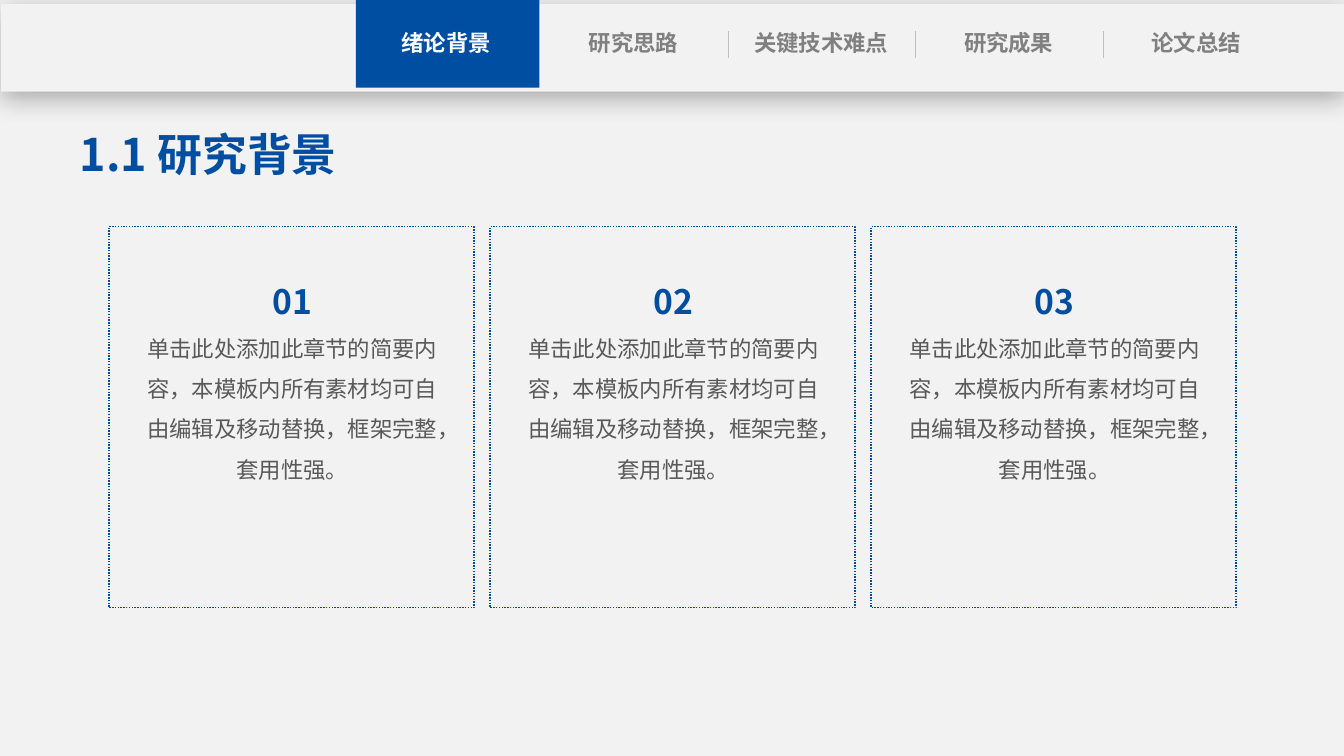
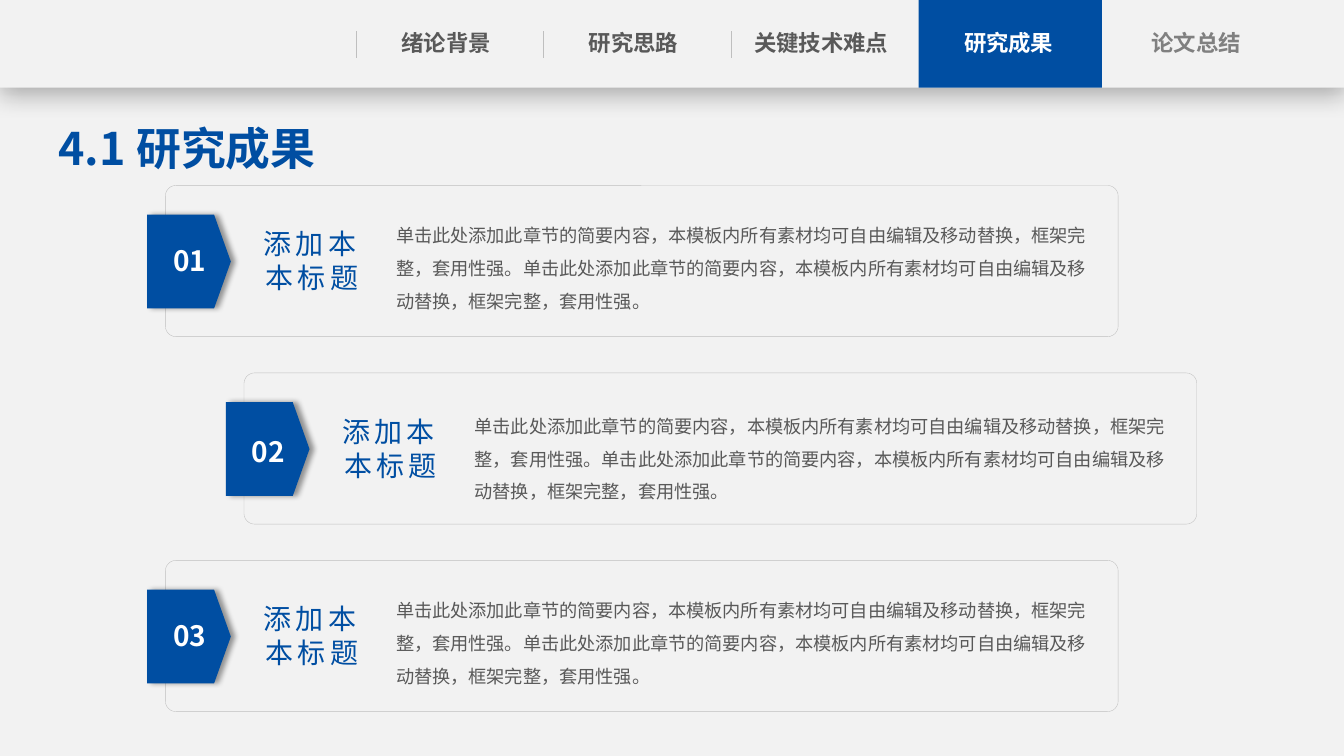
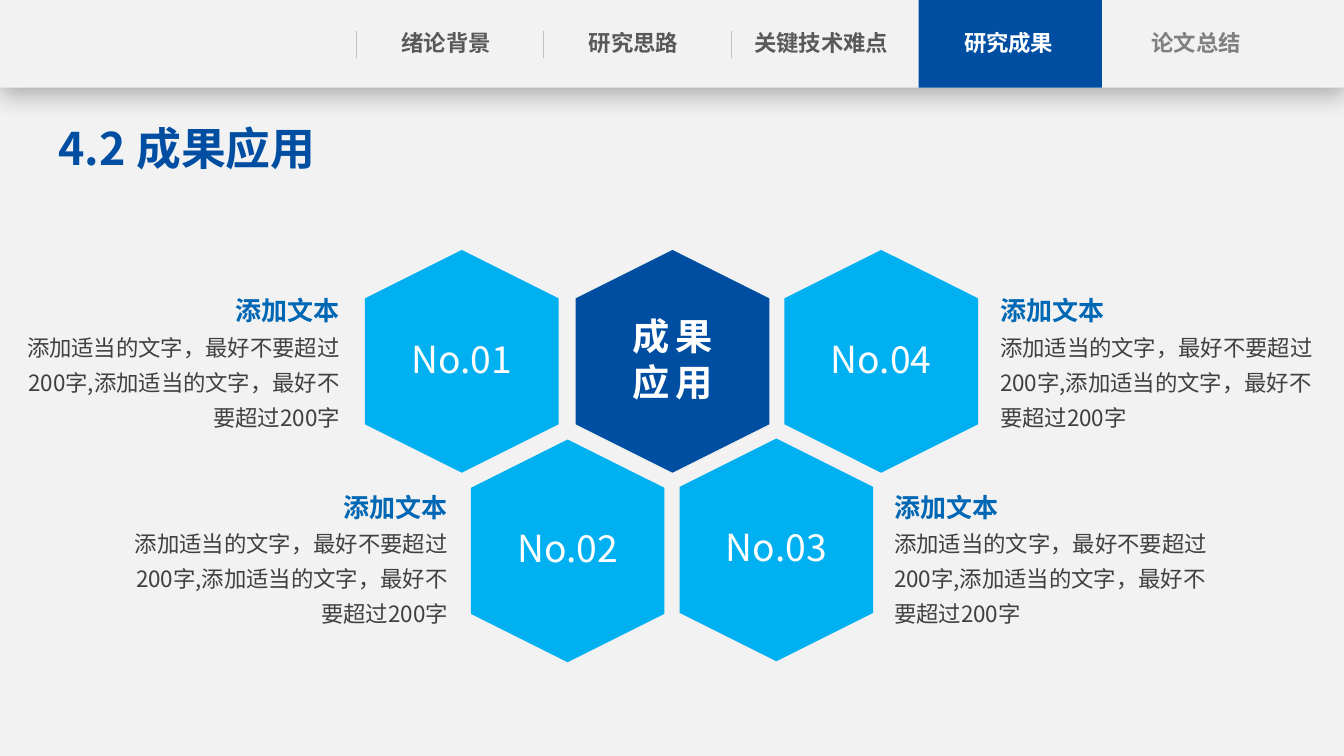
import lxml.etree
import pptx
import pptx.dml.color
import pptx.enum.dml
import pptx.enum.shapes
import pptx.enum.text
import pptx.oxml.ns
import pptx.util

Inches = pptx.util.Inches
Pt = pptx.util.Pt
qn = pptx.oxml.ns.qn
PRESET = pptx.enum.shapes.MSO_SHAPE
ALIGN = pptx.enum.text.PP_ALIGN
ANCHOR = pptx.enum.text.MSO_ANCHOR
AUTO = pptx.enum.text.MSO_AUTO_SIZE

FONT = "Noto Sans CJK SC"
COLORS = {
    "paper": "F2F2F2", "blue": "004EA2", "sky": "00B0F0", "heading": "0067B4",
    "white": "FFFFFF", "rule": "BFBFBF", "muted": "808080", "body": "595959",
    "dark": "404040", "black": "000000",
}
SECTIONS = ("绪论背景", "研究思路", "关键技术难点", "研究成果", "论文总结")
TAB_LEFT, TAB_STEP, TAB_WIDTH, BAR_HEIGHT = 3.53, 1.86, 1.82, 0.87
LABEL_INSETS = (0, 0.05, 0, 0.05)
BOX_INSETS = (0.1, 0.05, 0.1, 0.05)
BRIEF = "单击此处添加此章节的简要内容，本模板内所有素材均可自由编辑及移动替换，框架完整，套用性强。"
HINT = "添加适当的文字，最好不要超过200字,添加适当的文字，最好不要超过200字"


def color(name):
    return pptx.dml.color.RGBColor.from_string(COLORS[name])


def assign(target, values):
    for key, value in values.items():
        setattr(target, key, value)


class Deck:
    """Holds the shared style and the slide being drawn."""

    def __init__(self):
        self.prs = pptx.Presentation()
        assign(self.prs, {"slide_width": Inches(13.33), "slide_height": Inches(7.5)})
        backdrop = self.prs.slide_master.background.fill
        backdrop.solid()
        backdrop.fore_color.rgb = color("paper")

    def new_slide(self, heading, at, current, bar_at=(0, 0), first_divider=TAB_LEFT):
        self.slide = self.prs.slides.add_slide(self.prs.slide_layouts[5])
        self.shapes = self.slide.shapes
        self.navigation(current, bar_at, first_divider)
        title = self.shapes.title
        self.place(title, *at, 3.84, 0.64)
        self.compose(title.text_frame, [(heading, 32, "blue", True)], LABEL_INSETS,
                     {"auto_size": AUTO.SHAPE_TO_FIT_TEXT}, {"alignment": ALIGN.LEFT})

    def place(self, shape, left, top, width, height):
        assign(shape, {"left": Inches(left), "top": Inches(top),
                       "width": Inches(width), "height": Inches(height)})

    def group(self):
        self.shapes = self.slide.shapes.add_group_shape().shapes

    def navigation(self, current, bar_at, first_divider):
        bar = self.box(*bar_at, 13.33, BAR_HEIGHT, fill="paper")
        self.cast_shadow(bar, 29, 18, 4, 90)
        self.box(TAB_LEFT + TAB_STEP * current, 0, TAB_WIDTH, BAR_HEIGHT, fill="blue")
        for index, section in enumerate(SECTIONS):
            tone = "white" if index == current else "body" if index < current else "muted"
            self.text(TAB_LEFT + 0.16 + TAB_STEP * index, 0.24, 1.47, 0.38,
                      [(section, 16, tone, True)], LABEL_INSETS)
        for index in range(3):
            self.divider(first_divider + TAB_STEP * index, 0.31, 0.58)

    def divider(self, x, top, bottom):
        rule = self.shapes.add_connector(pptx.enum.shapes.MSO_CONNECTOR.STRAIGHT,
                                         Inches(x), Inches(top), Inches(x), Inches(bottom))
        rule.line.color.rgb = color("rule")
        rule.line.width = Pt(0.5)
        lxml.etree.SubElement(rule._element.spPr, qn("a:effectLst"))

    def paint(self, shape, fill=None, line=None, weight=1):
        shape.shadow.inherit = False
        if fill:
            shape.fill.solid()
            shape.fill.fore_color.rgb = color(fill)
        else:
            shape.fill.background()
        if line:
            shape.line.color.rgb = color(line)
            shape.line.width = Pt(weight)
        else:
            shape.line.fill.background()
        return shape

    def box(self, left, top, width, height, preset=PRESET.RECTANGLE, **style):
        shape = self.shapes.add_shape(preset, Inches(left), Inches(top),
                                      Inches(width), Inches(height))
        return self.paint(shape, **style)

    def cast_shadow(self, shape, opacity, blur, distance, angle):
        effects = shape._element.spPr.find(qn("a:effectLst"))
        values = {"blurRad": Pt(blur), "dist": Pt(distance), "dir": angle * 60000,
                  "algn": "t" if angle else "l", "rotWithShape": 0}
        outer = lxml.etree.SubElement(effects, qn("a:outerShdw"),
                                      {key: str(value) for key, value in values.items()})
        tint = lxml.etree.SubElement(outer, qn("a:srgbClr"), val=COLORS["black"])
        lxml.etree.SubElement(tint, qn("a:alpha"), val=str(opacity * 1000))

    def hexagon(self, left, top, fill, lines, insets, spacing=0):
        middle, right = left + 0.96, left + 1.92
        corners = [(right, top + 0.48), (right, top + 1.73), (middle, top + 2.21),
                   (left, top + 1.73), (left, top + 0.48)]
        outline = self.shapes.build_freeform(Inches(middle), Inches(top))
        outline.add_line_segments([(Inches(x), Inches(y)) for x, y in corners], close=True)
        cell = self.paint(outline.convert_to_shape(), fill)
        self.compose(cell.text_frame, lines, insets, {"vertical_anchor": ANCHOR.MIDDLE},
                     {"line_spacing": 0.9, "space_after": Pt(4)}, spacing)

    def text(self, left, top, width, height, lines, insets=BOX_INSETS, middle=False,
             spacing=0, **paragraph_format):
        area = self.shapes.add_textbox(Inches(left), Inches(top), Inches(width), Inches(height))
        fit = {"vertical_anchor": ANCHOR.MIDDLE} if middle else {"auto_size": AUTO.SHAPE_TO_FIT_TEXT}
        self.compose(area.text_frame, lines, insets, fit, paragraph_format, spacing)

    def compose(self, frame, lines, insets, frame_format, paragraph_format, spacing=0):
        margins = zip(("left", "top", "right", "bottom"), insets)
        assign(frame, {"word_wrap": True, "auto_size": AUTO.NONE, "vertical_anchor": ANCHOR.TOP}
               | {"margin_" + side: Inches(inset) for side, inset in margins} | frame_format)
        for index, (words, size, tone, bold) in enumerate(lines):
            paragraph = frame.add_paragraph() if index else frame.paragraphs[0]
            assign(paragraph, {"alignment": ALIGN.CENTER} | paragraph_format)
            run = paragraph.add_run()
            run.text = words
            assign(run.font, {"name": FONT, "size": Pt(size), "bold": bold})
            run.font.color.rgb = color(tone)
            properties = run._r.get_or_add_rPr()
            lxml.etree.SubElement(properties, qn("a:ea"), typeface=FONT)
            if spacing:
                properties.set("spc", str(spacing * 100))


def background_slide(deck):
    deck.new_slide("1.1 研究背景", (0.79, 1.21), 0, (0.01, 0.04), 7.22)
    for index in range(3):
        left = 1.08 + 3.78 * index
        card = deck.box(left, 2.25, 3.62, 3.78, line="blue")
        card.line.dash_style = pptx.enum.dml.MSO_LINE.ROUND_DOT
        deck.text(left + 0.3, 2.59, 3.04, 2.22,
                  [(f"0{index + 1}", 24, "blue", True), (BRIEF, 16, "body", False)],
                  (0, 0, 0, 0), line_spacing=1.5)


def results_slide(deck):
    deck.new_slide("4.1 研究成果", (0.58, 1.15), 3)
    for index, (left, nudge) in enumerate([(1.64, 0), (2.42, 0.03), (1.64, 0)]):
        top = 1.84 + 1.86 * index
        deck.group()
        panel = deck.box(left, top, 9.45, 1.5, PRESET.ROUNDED_RECTANGLE,
                         fill="paper", line="rule", weight=0.25)
        panel.adjustments[0] = 0.07
        tag = deck.box(left - 0.23, top + 0.34, 0.93, 0.83,
                       PRESET.FLOWCHART_OFFPAGE_CONNECTOR, fill="blue")
        tag.rotation = 270
        deck.cast_shadow(tag, 40, 4, 3, 0)
        deck.text(left + 0.72, top + 0.33, 1.47, 0.83,
                  [("添加本本标题", 20, "blue", False)], middle=True, spacing=3)
        deck.text(left + 2.19, top + 0.23 + nudge, 7.1, 1.08, [(BRIEF * 2, 13, "body", False)],
                  alignment=ALIGN.LEFT, line_spacing=1.5)
        deck.text(left - 0.12, top + 0.53 + nudge, 0.72, 0.44,
                  [(f"0{index + 1}", 20, "white", True)])


def application_slide(deck):
    deck.new_slide("4.2 成果应用", (0.58, 1.15), 3)
    cells = [(3.62, 2.48), (4.67, 4.36), (6.74, 4.35), (7.78, 2.48)]
    for number, (left, top) in enumerate(cells, 1):
        deck.hexagon(left, top, "sky", [(f"No.0{number}", 26.6, "white", False)],
                     (0.4, 0.46, 0.4, 0.46))
    deck.hexagon(5.71, 2.48, "blue", [(word, 26.6, "white", True) for word in ("成果", "应用")],
                 (0, 0, 0, 0), spacing=4)
    captions = [(0.16, 2.79, ALIGN.RIGHT), (1.23, 4.74, ALIGN.RIGHT),
                (8.77, 4.74, ALIGN.LEFT), (9.82, 2.79, ALIGN.LEFT)]
    for left, top, side in captions:
        deck.text(left, top, 3.31, 1.52,
                  [("添加文本", 18.6, "heading", True), (HINT, 16, "dark", False)],
                  middle=True, alignment=side, line_spacing=1.3)


def main():
    deck = Deck()
    background_slide(deck)
    results_slide(deck)
    application_slide(deck)
    deck.prs.save("out.pptx")


if __name__ == "__main__":
    main()
